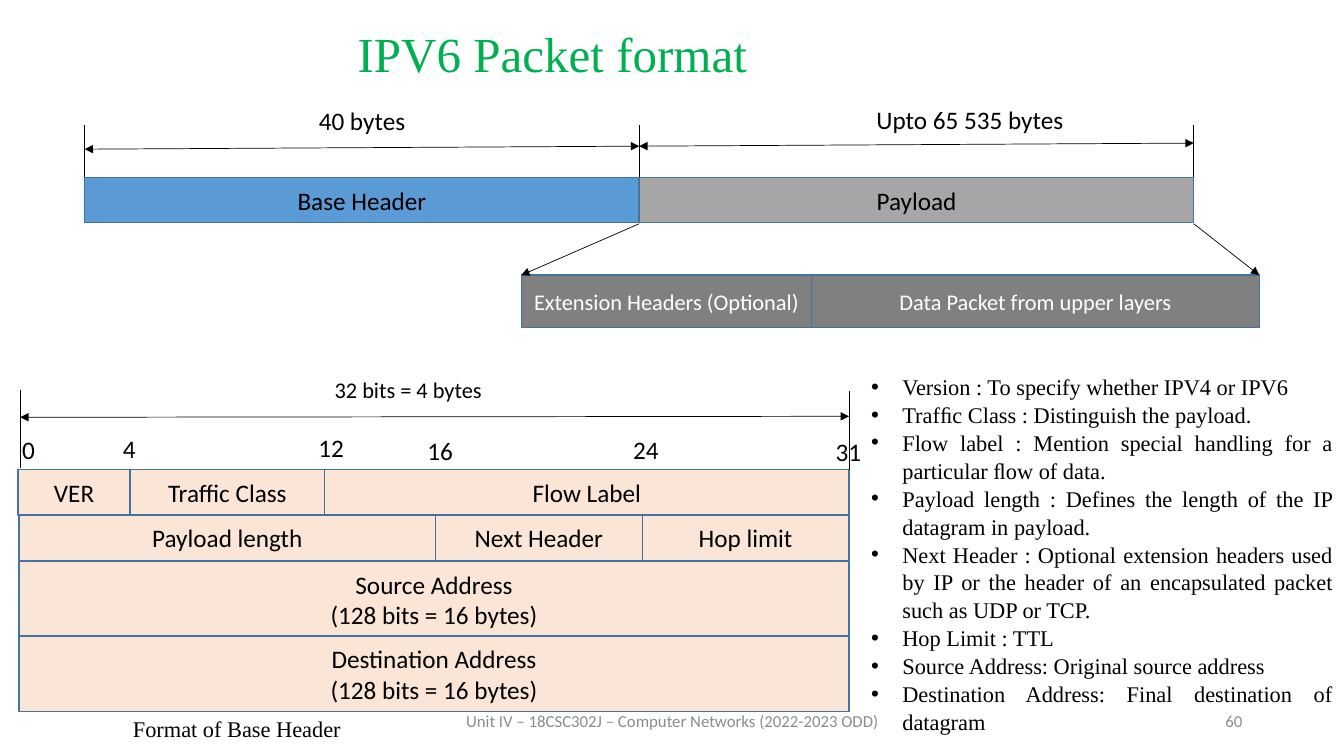
from itertools import accumulate

from lxml.etree import SubElement
from pptx import Presentation
from pptx.dml.color import RGBColor
from pptx.enum.shapes import MSO_CONNECTOR as Connector, MSO_SHAPE as Shape
from pptx.enum.text import MSO_ANCHOR as Anchor, MSO_AUTO_SIZE as AutoSize, PP_ALIGN as Align
from pptx.oxml.ns import qn
from pptx.util import Pt

PX = 9144
SLIDE_SIZE = (1333, 750)
SANS, SERIF = "Calibri", "Times New Roman"
COLORS = {
    "black": "000000", "white": "FFFFFF", "title": "00B050", "footer": "8C8C8C",
    "border": "43739E", "base": "5B9BD5", "payload": "A6A6A6",
    "extension": "808080", "field": "FBE5D6",
}

TITLE = "IPV6 Packet format"
TITLE_BOX = (0, 18, 1096, 60)
NOTES_BOX = (854, 364, 478, 360)
FIELD_NOTES = [
    "Version : To specify whether IPV4 or IPV6",
    "Trafﬁc Class : Distinguish the payload.",
    "Flow label : Mention special handling for a particular ﬂow of data.",
    "Payload length : Defines the length of the IP datagram in payload.",
    "Next Header : Optional extension headers used by IP or the header of an "
    "encapsulated packet such as UDP or TCP.",
    "Hop Limit : TTL",
    "Source Address: Original source address",
    "Destination Address: Final destination of datagram",
]

# left, top, height, text size, text colour, cells of (text, width, fill)
PACKET_ROWS = [
    (84, 176, 45, 18, "black", [("Base Header", 550, "base"), ("Payload", 550, "payload")]),
    (517, 273, 52, 16, "white", [("Extension Headers (Optional)", 288, "extension"),
                                 ("Data Packet from upper layers", 444, "extension")]),
    (18, 466, 45, 18, "black", [("VER", 111, "field"), ("Traffic Class", 193, "field"),
                                ("Flow Label", 520, "field")]),
    (19, 511, 45, 18, "black", [("Payload length", 413, "field"), ("Next Header", 205, "field"),
                                ("Hop limit", 205, "field")]),
    (19, 557, 75, 18, "black", [("Source Address\n(128 bits = 16 bytes)", 823, "field")]),
    (19, 631, 75, 18, "black", [("Destination Address\n(128 bits = 16 bytes)", 823, "field")]),
]

# start, end, arrow ends
RULES = [
    *[((x, 176), (x, 124), ()) for x in (84, 634, 1184)],
    ((84, 148), (634, 145), ("headEnd", "tailEnd")),
    ((634, 145), (1184, 142), ("headEnd", "tailEnd")),
    ((634, 222), (517, 273), ("tailEnd",)),
    ((1184, 222), (1249, 273), ("tailEnd",)),
    ((20, 387), (20, 464), ()),
    ((842, 388), (842, 466), ()),
    ((20, 414), (842, 413), ("headEnd", "tailEnd")),
]

BIT_MARKS = [("0", 12, 426), ("4", 112, 425), ("12", 306, 424),
             ("16", 414, 427), ("24", 618, 426), ("31", 819, 428)]

# text, box, size, font, colour, alignment, anchor
LABELS = [
    ("40 bytes", (265, 100, 188, 35), 18, SANS, "black", Align.CENTER, Anchor.TOP),
    ("Upto 65 535 bytes", (815, 99, 294, 35), 18, SANS, "black", Align.CENTER, Anchor.TOP),
    *[(bit, (left, top, 48, 36), 18, SANS, "black", Align.LEFT, Anchor.TOP)
      for bit, left, top in BIT_MARKS],
    ("32 bits = 4 bytes", (322, 368, 172, 37), 16, SANS, "black", Align.LEFT, Anchor.TOP),
    ("Format of Base Header", (122, 705, 230, 37), 16, SERIF, "black", Align.LEFT, Anchor.TOP),
    ("Unit IV – 18CSC302J – Computer Networks (2022-2023 ODD)", (442, 695, 450, 40),
     12, SANS, "footer", Align.CENTER, Anchor.MIDDLE),
    ("60", (942, 695, 300, 40), 12, SANS, "footer", Align.RIGHT, Anchor.MIDDLE),
]


def color(name):
    return RGBColor.from_string(COLORS[name])


def emu(lengths):
    return [length * PX for length in lengths]


def set_all(target, values):
    for name, value in values.items():
        setattr(target, name, value)


def write(holder, text, size, font, ink, align, anchor):
    frame = holder.text_frame
    set_all(frame, {"text": text, "word_wrap": True, "auto_size": AutoSize.NONE,
                    "vertical_anchor": anchor})
    for paragraph in frame.paragraphs:
        set_all(paragraph, {"alignment": align, "space_before": Pt(0)})
        for run in paragraph.runs:
            set_all(run.font, {"size": Pt(size), "name": font})
            run.font.color.rgb = color(ink)


def place(holder, box):
    set_all(holder, dict(zip(("left", "top", "width", "height"), emu(box))))


def draw_row(shapes, left, top, height, size, ink, cells):
    starts = accumulate((width for _, width, _ in cells), initial=left)
    for start, (text, width, fill) in zip(starts, cells):
        cell = shapes.add_shape(Shape.RECTANGLE, *emu((start, top, width, height)))
        cell.shadow.inherit = False
        cell.fill.solid()
        cell.fill.fore_color.rgb = color(fill)
        cell.line.color.rgb = color("border")
        cell.line.width = Pt(1)
        write(cell, text, size, SANS, ink, Align.CENTER, Anchor.MIDDLE)


def draw_rule(shapes, start, end, arrows):
    rule = shapes.add_connector(Connector.STRAIGHT, *emu(start + end))
    rule.line.color.rgb = color("black")
    rule.line.width = Pt(0.5)
    properties = rule._element.spPr
    for arrow in arrows:
        SubElement(properties.find(qn("a:ln")), qn(f"a:{arrow}"), type="triangle")
    SubElement(properties, qn("a:effectLst"))


def add_bullets(frame):
    for paragraph in frame.paragraphs:
        paragraph.line_spacing = 1.04
        properties = paragraph._p.get_or_add_pPr()
        properties.set("marL", str(31 * PX))
        properties.set("indent", str(-31 * PX))
        SubElement(properties, qn("a:buFont"), typeface="Arial")
        SubElement(properties, qn("a:buChar"), char="•")


def main():
    deck = Presentation()
    deck.slide_width, deck.slide_height = emu(SLIDE_SIZE)
    slide = deck.slides.add_slide(deck.slide_layouts[1])
    shapes = slide.shapes
    title, notes = slide.placeholders

    place(title, TITLE_BOX)
    write(title, TITLE, 35, SERIF, "title", Align.CENTER, Anchor.TOP)
    place(notes, NOTES_BOX)
    write(notes, "\n".join(FIELD_NOTES), 16, SERIF, "black", Align.JUSTIFY, Anchor.TOP)
    add_bullets(notes.text_frame)

    for row in PACKET_ROWS:
        draw_row(shapes, *row)
    for rule in RULES:
        draw_rule(shapes, *rule)
    for text, box, *style in LABELS:
        write(shapes.add_textbox(*emu(box)), text, *style)

    deck.save("out.pptx")


if __name__ == "__main__":
    main()
